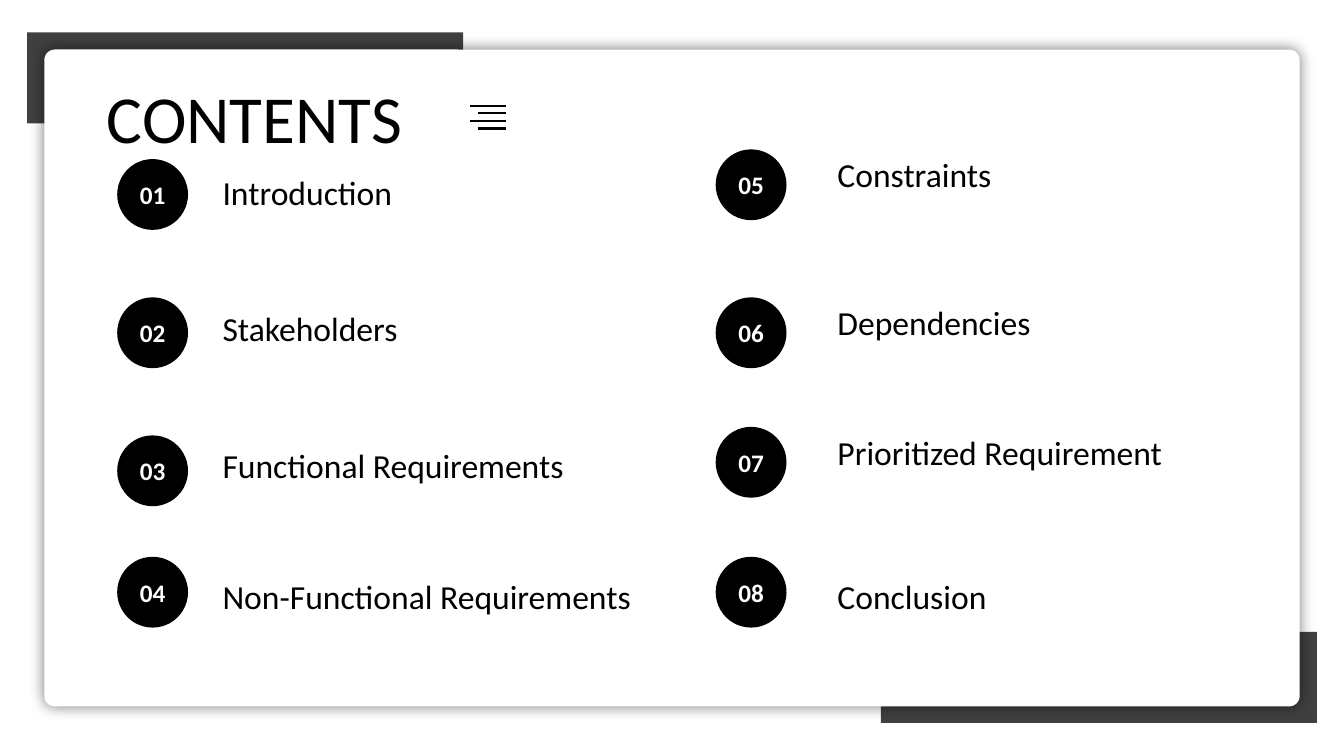
from lxml import etree
from pptx import Presentation
from pptx.dml.color import RGBColor
from pptx.enum.shapes import MSO_CONNECTOR, MSO_SHAPE
from pptx.enum.text import MSO_ANCHOR, PP_ALIGN
from pptx.oxml import parse_xml
from pptx.oxml.ns import nsdecls, qn
from pptx.util import Pt

RECTANGLE, ROUNDED, OVAL = MSO_SHAPE.RECTANGLE, MSO_SHAPE.ROUNDED_RECTANGLE, MSO_SHAPE.OVAL
STRAIGHT = MSO_CONNECTOR.STRAIGHT
TOP, MIDDLE = MSO_ANCHOR.TOP, MSO_ANCHOR.MIDDLE
LEFT, CENTER = PP_ALIGN.LEFT, PP_ALIGN.CENTER
COLORS = {"ink": "000000", "paper": "FFFFFF", "corner": "404040"}
FONT = "Calibri"


def add_block(kind, left, top, width, height, color):
    block = slide.shapes.add_shape(kind, Pt(left), Pt(top), Pt(width), Pt(height))
    block.shadow.inherit = False
    block.fill.solid()
    block.fill.fore_color.rgb = RGBColor.from_string(COLORS[color])
    block.line.fill.background()
    return block


def write(shape, text, size, color, align, anchor, bold=False):
    frame = shape.text_frame
    frame.word_wrap = True
    frame.vertical_anchor = anchor
    frame.text = text
    paragraph = frame.paragraphs[0]
    paragraph.alignment = align
    paragraph.font.name = FONT
    paragraph.font.size = Pt(size)
    paragraph.font.bold = bold
    paragraph.font.color.rgb = RGBColor.from_string(COLORS[color])


prs = Presentation()
prs.slide_width, prs.slide_height = Pt(960), Pt(540)
slide = prs.slides.add_slide(prs.slide_layouts[5])

for left, top in [(629.2, 451.4), (19.3, 23.2)]:
    add_block(RECTANGLE, left, top, 311.5, 65, "corner")

panel = add_block(ROUNDED, 31.7, 35.4, 896.7, 469.2, "paper")
panel.adjustments[0] = 0.016
glow = parse_xml(
    f'<a:outerShdw {nsdecls("a")} blurRad="127000" dist="0" algn="ctr" rotWithShape="0">'
    '<a:srgbClr val="000000"><a:alpha val="50000"/></a:srgbClr></a:outerShdw>'
)
panel._element.spPr.find(qn("a:effectLst")).append(glow)

title = slide.shapes.title
title.left, title.top, title.width, title.height = Pt(69.1), Pt(51.1), Pt(234), Pt(65.5)
write(title, "CONTENTS", 48, "ink", LEFT, TOP)
panel._element.addnext(title._element)

for row, start in enumerate([336, 341.3, 336, 341.3]):
    y = Pt(75.6 + 5.4 * row)
    menu_line = slide.shapes.add_connector(STRAIGHT, Pt(start), y, Pt(361.5), y)
    menu_line.line.width = Pt(1.5)
    menu_line.line.color.rgb = RGBColor.from_string(COLORS["ink"])
    etree.SubElement(menu_line._element.spPr, qn("a:effectLst"))

columns = [
    (83.7, 151.9, 341.3, [
        ("Introduction", 113.6, 119.5),
        ("Stakeholders", 212.4, 216.7),
        ("Functional Requirements", 311, 314.2),
        ("Non-Functional Requirements", 397.7, 407.5),
    ]),
    (511.2, 591.1, 368.6, [
        ("Constraints", 106.7, 106.7),
        ("Dependencies", 212.4, 212.4),
        ("Prioritized Requirement", 304.9, 304.9),
        ("Conclusion", 397.7, 407.5),
    ]),
]
number = 0
for badge_left, topic_left, topic_width, topics in columns:
    for topic, badge_top, topic_top in topics:
        number += 1
        badge = add_block(OVAL, badge_left, badge_top, 50.6, 50.6, "ink")
        write(badge, f"{number:02d}", 18, "paper", CENTER, MIDDLE, True)
        label = slide.shapes.add_textbox(
            Pt(topic_left), Pt(topic_top), Pt(topic_width), Pt(36.4))
        write(label, topic, 24, "ink", LEFT, TOP)

prs.save("out.pptx")
